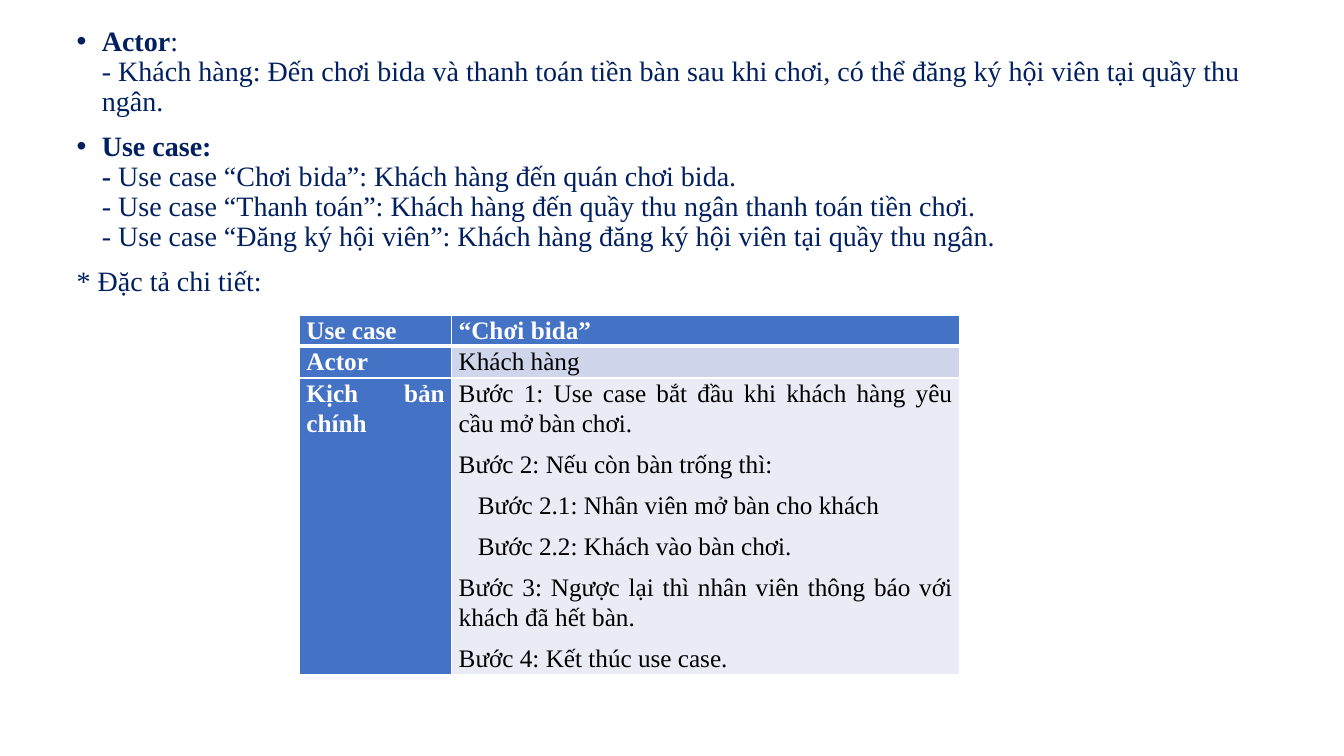
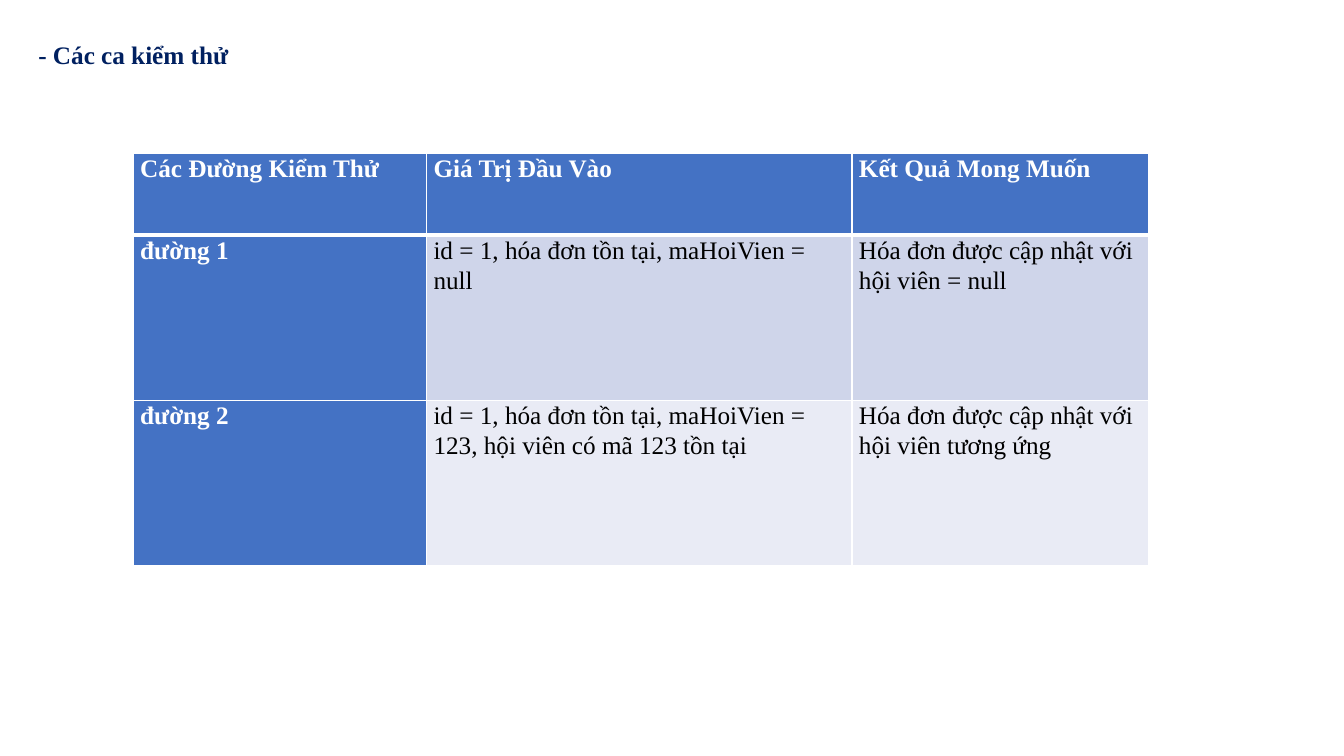
from dataclasses import dataclass
from typing import Optional

from lxml.etree import SubElement
from pptx import Presentation
from pptx.dml.color import RGBColor
from pptx.enum.text import MSO_ANCHOR, MSO_AUTO_SIZE, PP_ALIGN
from pptx.oxml import parse_xml
from pptx.oxml.ns import nsdecls, qn
from pptx.util import Inches, Pt

NAVY = RGBColor(0x00, 0x20, 0x60)
BLUE = RGBColor(0x44, 0x72, 0xC4)
BAND_DARK = RGBColor(0xCF, 0xD5, 0xEA)
BAND_LIGHT = RGBColor(0xE9, 0xEB, 0xF5)
WHITE = RGBColor(0xFF, 0xFF, 0xFF)
BLACK = RGBColor(0x00, 0x00, 0x00)
FONT = "Times New Roman"
TABLE_SIZE = 18
STEP_INDENT = 0.19
BULLET_INDENT = 0.25


@dataclass(frozen=True)
class Span:
    text: str
    bold: bool = False


@dataclass(frozen=True)
class BodyPara:
    spans: list[Span]
    bullet: bool = False


@dataclass(frozen=True)
class Line:
    text: str
    indent: float = 0


@dataclass(frozen=True)
class Grid:
    left: float
    top: float
    columns: list[float]
    rows: list[float]
    cells: list[list[list[Line]]]
    align: Optional[PP_ALIGN] = None


@dataclass(frozen=True)
class Page:
    box: tuple[float, float, float, float]
    size: int
    paras: list[BodyPara]
    grid: Grid


def set_font(font, size: int, color: RGBColor) -> None:
    font.name = FONT
    font.size = Pt(size)
    font.color.rgb = color


def set_bullet(para, bullet: bool) -> None:
    props = para._p.get_or_add_pPr()
    indent = Inches(BULLET_INDENT) if bullet else 0
    props.set("marL", str(indent))
    props.set("indent", str(-indent))
    if bullet:
        SubElement(props, qn("a:buFont")).set("typeface", "Arial")
        SubElement(props, qn("a:buChar")).set("char", "•")
    else:
        SubElement(props, qn("a:buNone"))


def add_span(para, span: Span) -> None:
    for number, text in enumerate(span.text.split("\n")):
        if number:
            para.add_line_break()
        if text:
            run = para.add_run()
            run.text = text
            run.font.bold = span.bold


def fill_body(slide, page: Page) -> None:
    title = slide.shapes.title
    title.element.getparent().remove(title.element)
    body = slide.placeholders[1]
    body.left, body.top, body.width, body.height = map(Inches, page.box)
    frame = body.text_frame
    frame.word_wrap = True
    frame.auto_size = MSO_AUTO_SIZE.NONE
    frame.vertical_anchor = MSO_ANCHOR.TOP
    for number, item in enumerate(page.paras):
        para = frame.add_paragraph() if number else frame.paragraphs[0]
        para.line_spacing = 0.9
        para.space_before = Pt(10)
        set_bullet(para, item.bullet)
        set_font(para.font, page.size, NAVY)
        for span in item.spans:
            add_span(para, span)


def set_borders(cell, top: int, bottom: int) -> None:
    props = cell._tc.get_or_add_tcPr()
    widths = {"lnL": 1, "lnR": 1, "lnT": top, "lnB": bottom}
    for position, (side, width) in enumerate(widths.items()):
        border = parse_xml(
            f'<a:{side} {nsdecls("a")} w="{Pt(width)}"><a:solidFill>'
            f'<a:srgbClr val="{WHITE}"/></a:solidFill></a:{side}>'
        )
        props.insert(position, border)


def fill_cell(cell, lines: list[Line], fill: RGBColor, heading: bool,
              align: Optional[PP_ALIGN]) -> None:
    cell.margin_left = cell.margin_right = Inches(0.07)
    cell.margin_top = cell.margin_bottom = 0
    cell.fill.solid()
    cell.fill.fore_color.rgb = fill
    for number, line in enumerate(lines):
        para = cell.text_frame.add_paragraph() if number else cell.text_frame.paragraphs[0]
        para.text = line.text
        para.alignment = align
        para.line_spacing = 1.07
        para.space_after = Pt(8)
        para.font.bold = heading
        set_font(para.font, TABLE_SIZE, WHITE if heading else BLACK)
        if line.indent:
            para._p.get_or_add_pPr().set("marL", str(Inches(line.indent)))


def add_grid(slide, grid: Grid) -> None:
    table = slide.shapes.add_table(
        len(grid.rows), len(grid.columns), Inches(grid.left), Inches(grid.top),
        Inches(sum(grid.columns)), Inches(sum(grid.rows)),
    ).table
    table.first_col = True
    for column, width in zip(table.columns, grid.columns):
        column.width = Inches(width)
    for row, height in zip(table.rows, grid.rows):
        row.height = Inches(height)
    for row, texts in enumerate(grid.cells):
        band = BAND_DARK if row % 2 else BAND_LIGHT
        for column, lines in enumerate(texts):
            heading = row == 0 or column == 0
            cell = table.cell(row, column)
            fill_cell(cell, lines, BLUE if heading else band, heading, grid.align)
            set_borders(cell, top=3 if row == 1 else 1, bottom=3 if row == 0 else 1)


USE_CASE_PAGE = Page(
    box=(0.66, 0.22, 11.76, 7.02),
    size=20,
    paras=[
        BodyPara([
            Span("Actor", bold=True),
            Span(":\n- Khách hàng: Đến chơi bida và thanh toán tiền bàn sau khi chơi, "
                 "có thể đăng ký hội viên tại quầy thu ngân."),
        ], bullet=True),
        BodyPara([
            Span("Use case:\n- ", bold=True),
            Span("Use case “Chơi bida”: Khách hàng đến quán chơi bida.\n"
                 "- Use case “Thanh toán”: Khách hàng đến quầy thu ngân thanh toán tiền chơi.\n"
                 "- Use case “Đăng ký hội viên”: Khách hàng đăng ký hội viên tại quầy thu ngân."),
        ], bullet=True),
        BodyPara([Span("* Đặc tả chi tiết:")]),
    ],
    grid=Grid(
        left=2.97, top=3.13, columns=[1.51, 5.04], rows=[0.3, 0.32, 2.94],
        align=PP_ALIGN.JUSTIFY,
        cells=[
            [[Line("Use case")], [Line("“Chơi bida”")]],
            [[Line("Actor")], [Line("Khách hàng")]],
            [[Line("Kịch bản chính")], [
                Line("Bước 1: Use case bắt đầu khi khách hàng yêu cầu mở bàn chơi."),
                Line("Bước 2: Nếu còn bàn trống thì:"),
                Line("Bước 2.1: Nhân viên mở bàn cho khách", STEP_INDENT),
                Line("Bước 2.2: Khách vào bàn chơi.", STEP_INDENT),
                Line("Bước 3: Ngược lại thì nhân viên thông báo với khách đã hết bàn."),
                Line("Bước 4: Kết thúc use case."),
            ]],
        ],
    ),
)

TEST_CASE_PAGE = Page(
    box=(0.28, 0.37, 12.14, 6.39),
    size=18,
    paras=[BodyPara([Span("- Các ca kiểm thử", bold=True)])],
    grid=Grid(
        left=1.32, top=1.52, columns=[2.91, 4.22, 2.94], rows=[0.81, 1.64, 1.64],
        cells=[
            [[Line("Các Đường Kiểm Thử")], [Line("Giá Trị Đầu Vào")],
             [Line("Kết Quả Mong Muốn")]],
            [[Line("đường 1")], [Line("id = 1, hóa đơn tồn tại, maHoiVien = null")],
             [Line("Hóa đơn được cập nhật với hội viên = null")]],
            [[Line("đường 2")],
             [Line("id = 1, hóa đơn tồn tại, maHoiVien = 123, hội viên có mã 123 tồn tại")],
             [Line("Hóa đơn được cập nhật với hội viên tương ứng")]],
        ],
    ),
)


def main() -> None:
    deck = Presentation()
    deck.slide_width = Inches(13.33)
    deck.slide_height = Inches(7.5)
    for page in (USE_CASE_PAGE, TEST_CASE_PAGE):
        slide = deck.slides.add_slide(deck.slide_layouts[1])
        fill_body(slide, page)
        add_grid(slide, page.grid)
    deck.save("out.pptx")


if __name__ == "__main__":
    main()
